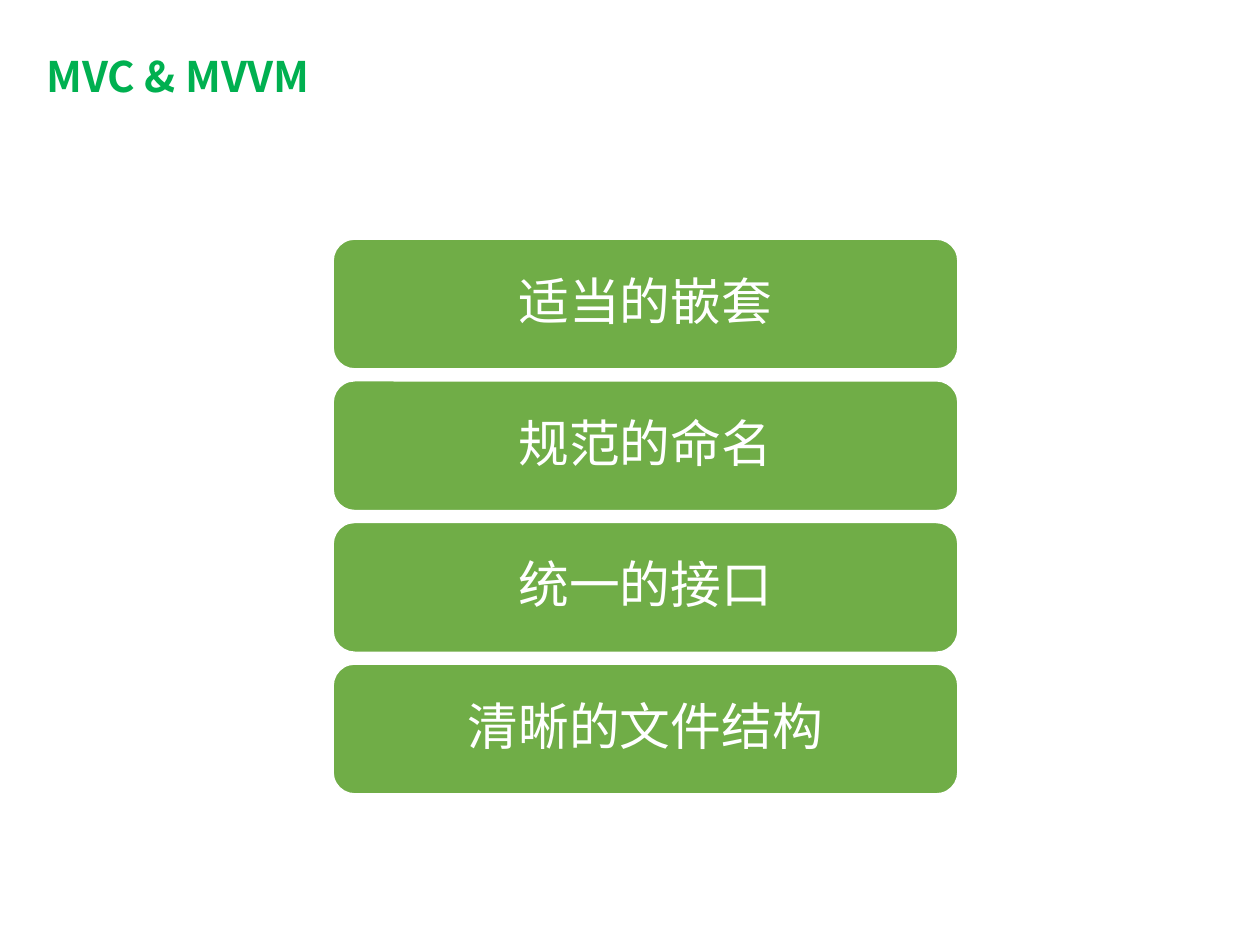
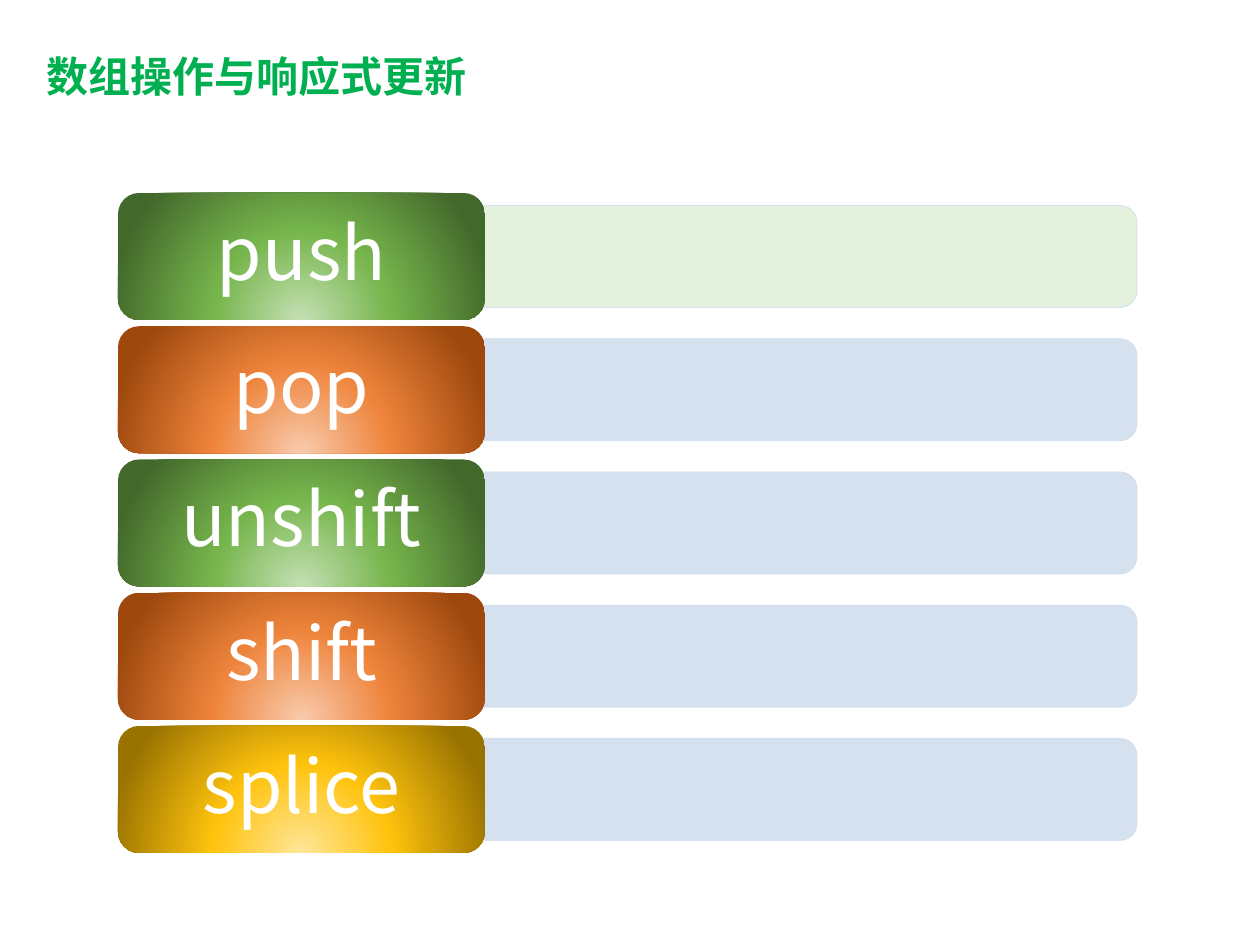
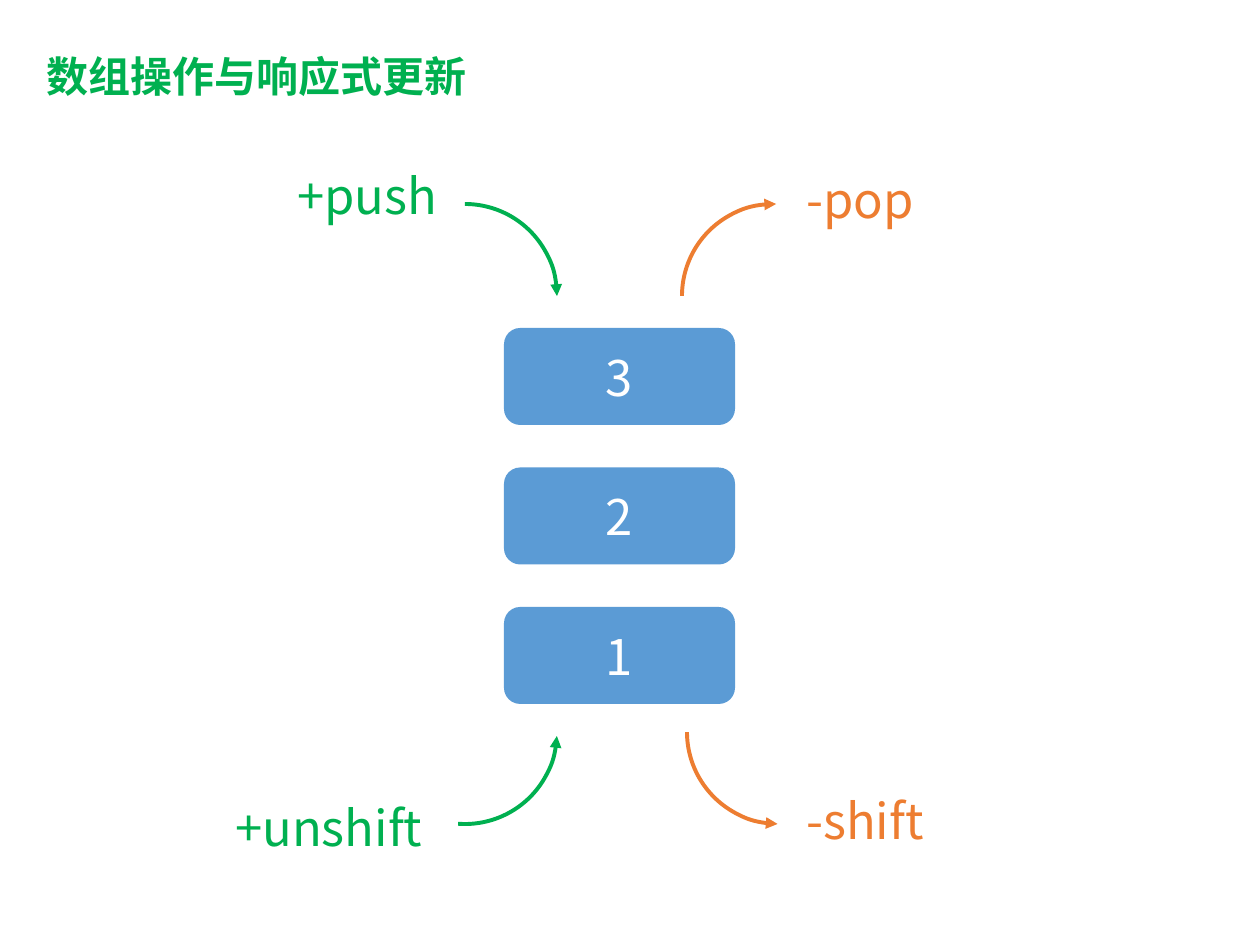
from lxml import etree
from pptx import Presentation
from pptx.dml.color import RGBColor
from pptx.enum.shapes import MSO_SHAPE as SHAPE
from pptx.enum.text import MSO_ANCHOR as ANCHOR, PP_ALIGN as ALIGN
from pptx.oxml import parse_xml
from pptx.oxml.ns import nsdecls, qn
from pptx.util import Emu, Pt

# Scale and shared style
PX = 914400 / 126
SANS_SC = "Noto Sans CJK SC"
SANS_JP = "Noto Sans CJK JP"

WHITE = RGBColor(0xFF, 0xFF, 0xFF)
TITLE_GREEN = RGBColor(0x00, 0xB0, 0x50)
ORANGE = RGBColor(0xED, 0x7D, 0x31)
CARD_GREEN = RGBColor(0x70, 0xAD, 0x47)
STACK_BLUE = RGBColor(0x5B, 0x9B, 0xD5)
PALE_GREEN = RGBColor(0xE2, 0xF0, 0xD9)
PALE_BLUE = RGBColor(0xD2, 0xDE, 0xEF)

# Centre, middle and edge of each glow
GREEN_GLOW = [RGBColor(0xC5, 0xE0, 0xB4), RGBColor(0x76, 0xB5, 0x4C), RGBColor(0x43, 0x68, 0x2B)]
ORANGE_GLOW = [RGBColor(0xF8, 0xCB, 0xAD), RGBColor(0xEE, 0x84, 0x3B), RGBColor(0x9E, 0x48, 0x0E)]
GOLD_GLOW = [RGBColor(0xFF, 0xE6, 0x99), RGBColor(0xFF, 0xC3, 0x0D), RGBColor(0x99, 0x73, 0x00)]
GLOW_STOPS = (0, 46, 100)


def emu(*lengths):
    return [Emu(round(length * PX)) for length in lengths]


def apply(target, values):
    for name, value in values.items():
        setattr(target, name, value)


def spread(top, bottom, height, count):
    """Tops of equal rows that fill the span from top to bottom."""
    step = (bottom - top - height) / (count - 1)
    return [top + i * step for i in range(count)]


class Deck:
    """Holds the presentation, its style and the current slide."""

    def __init__(self, width, height):
        self.prs = Presentation()
        self.prs.slide_width, self.prs.slide_height = emu(width, height)
        self.slide = None

    def new_slide(self, title):
        self.slide = self.prs.slides.add_slide(self.prs.slide_layouts[6])
        box = self.slide.shapes.add_textbox(*emu(34, 43, 586, 71))
        self.put_text(box, title, 24, TITLE_GREEN, align=ALIGN.LEFT, spacing=0.9, bold=True)

    def put_text(self, holder, text, size, color, font=SANS_SC, align=ALIGN.CENTER,
                 spacing=1.0, bold=False, wrap=True, anchor=ANCHOR.MIDDLE):
        frame = holder.text_frame
        apply(frame, {"word_wrap": wrap, "vertical_anchor": anchor})
        paragraph = frame.paragraphs[0]
        apply(paragraph, {"alignment": align, "line_spacing": spacing})
        run = paragraph.add_run()
        run.text = text
        run.font.color.rgb = color
        apply(run.font, {"name": font, "size": Pt(size), "bold": bold})
        etree.SubElement(run._r.get_or_add_rPr(), qn("a:ea"), typeface=font)

    def shape(self, kind, box, fill=None, line=None, line_width=1.0):
        shape = self.slide.shapes.add_shape(kind, *emu(*box))
        shape.shadow.inherit = False
        if fill is None:
            shape.fill.background()
        else:
            shape.fill.solid()
            shape.fill.fore_color.rgb = fill
        if line is None:
            shape.line.fill.background()
        else:
            shape.line.color.rgb = line
            shape.line.width = Pt(line_width)
        return shape

    def card(self, box, text, size, fill=None, line=None, font=SANS_SC, spacing=1.0):
        card = self.shape(SHAPE.ROUNDED_RECTANGLE, box, fill, line)
        self.put_text(card, text, size, WHITE, font, spacing=spacing)
        return card

    def glow_card(self, box, text, size, glow):
        card = self.card(box, text, size, spacing=0.9)
        stops = "".join(f'<a:gs pos="{pos * 1000}"><a:srgbClr val="{color}"/></a:gs>'
                        for pos, color in zip(GLOW_STOPS, glow))
        gradient = parse_xml(
            f'<a:gradFill {nsdecls("a")} rotWithShape="1"><a:gsLst>{stops}</a:gsLst>'
            '<a:path path="circle"><a:fillToRect l="50000" t="130000" r="50000" b="-30000"/>'
            '</a:path></a:gradFill>')
        properties = card._element.spPr
        properties.replace(properties.find(qn("a:noFill")), gradient)

    def bar(self, left, top, width, height, fill):
        """A bar rounded at its right end: a turned shape with two round corners."""
        shift = (width - height) / 2
        bar = self.shape(SHAPE.ROUND_2_SAME_RECTANGLE,
                         (left + shift, top - shift, height, width), fill, PALE_BLUE, 0.5)
        bar.rotation = 90
        for color in bar._element.spPr.iter(qn("a:srgbClr")):
            etree.SubElement(color, qn("a:alpha"), val="90000")

    def arc(self, left, top, diameter, angles, color, arrow_end):
        arc = self.shape(SHAPE.ARC, (left, top, diameter, diameter), line=color, line_width=2.25)
        for i, angle in enumerate(angles):
            arc.adjustments[i] = angle * 0.6
        etree.SubElement(arc.line._get_or_add_ln(), qn(f"a:{arrow_end}"), type="triangle")

    def label(self, left, top, width, text, color):
        box = self.slide.shapes.add_textbox(*emu(left, top, width, 72))
        self.put_text(box, text, 28, color, align=ALIGN.LEFT, wrap=False, anchor=ANCHOR.TOP)


def main():
    deck = Deck(1260, 945)

    # Slide 1: principles
    deck.new_slide("MVC & MVVM")
    principles = ["适当的嵌套", "规范的命名", "统一的接口", "清晰的文件结构"]
    for top, principle in zip(spread(239, 794, 130, len(principles)), principles):
        deck.card((333, top, 625, 130), principle, 29, CARD_GREEN, WHITE, SANS_JP, 0.9)

    # Slide 2: array methods, each with an empty bar
    deck.new_slide("数组操作与响应式更新")
    methods = [
        ("push", GREEN_GLOW, PALE_GREEN),
        ("pop", ORANGE_GLOW, PALE_BLUE),
        ("unshift", GREEN_GLOW, PALE_BLUE),
        ("shift", ORANGE_GLOW, PALE_BLUE),
        ("splice", GOLD_GLOW, PALE_BLUE),
    ]
    key_height, bar_height = 127, 102
    for top, (method, glow, pale) in zip(spread(193, 853, key_height, len(methods)), methods):
        deck.bar(484, top + (key_height - bar_height) / 2, 653, bar_height, pale)
        deck.glow_card((118, top, 367, key_height), method, 42, glow)

    # Slide 3: the array as a stack
    deck.new_slide("数组操作与响应式更新")
    items = ["3", "2", "1"]
    for top, item in zip(spread(328, 704, 97, len(items)), items):
        deck.card((504, top, 231, 97), item, 28, STACK_BLUE)

    # Ways in and out: arc place, angles, arrow end, label place
    moves = [
        ("+push", TITLE_GREEN, (373, 204), (270, 0), "tailEnd", (285, 159, 178)),
        ("-pop", ORANGE, (682, 204), (180, 271.34), "tailEnd", (794, 163, 141)),
        ("+unshift", TITLE_GREEN, (373, 640), (2.49, 94.27), "headEnd", (223, 791, 227)),
        ("-shift", ORANGE, (687, 640), (90.87, 179.91), "headEnd", (794, 784, 150)),
    ]
    for move, color, arc_place, angles, arrow_end, label_place in moves:
        deck.arc(*arc_place, 184, angles, color, arrow_end)
        deck.label(*label_place, move, color)

    deck.prs.save("out.pptx")


if __name__ == "__main__":
    main()
